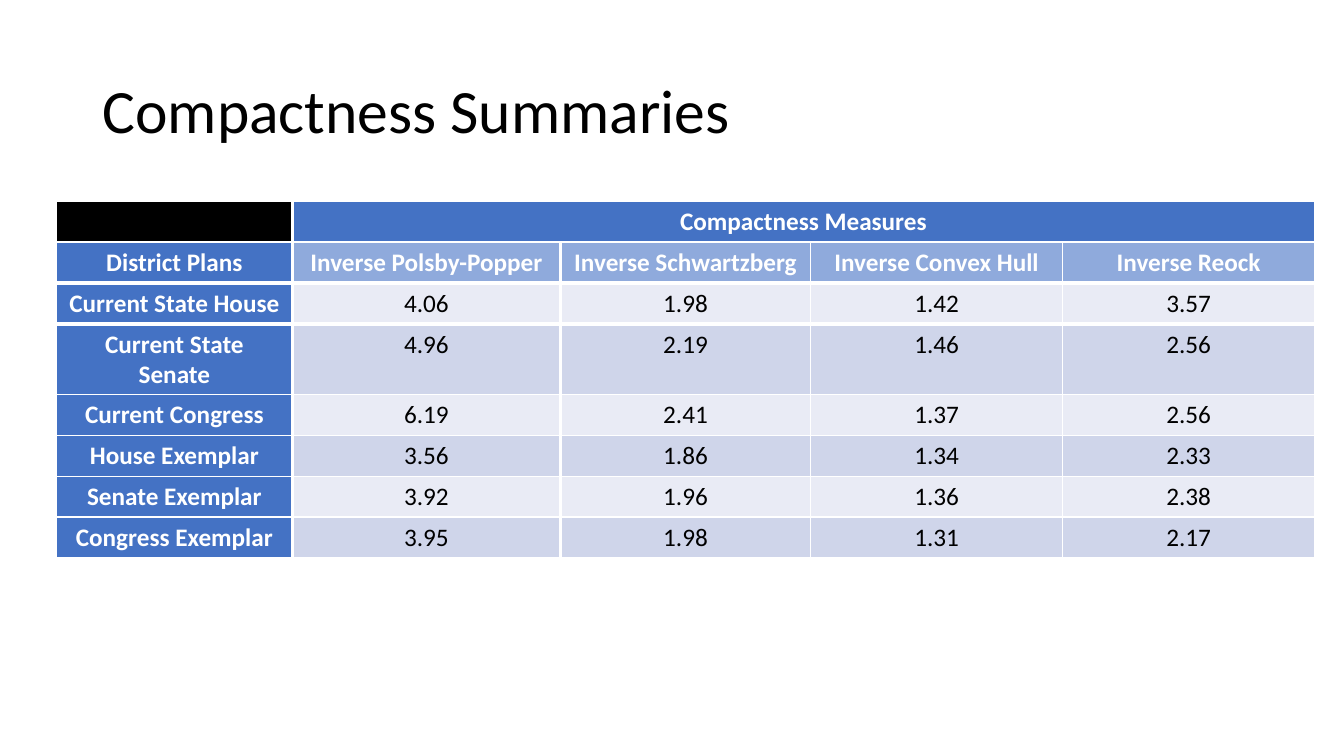
from lxml import etree
from pptx import Presentation
from pptx import util as u
from pptx.dml.color import RGBColor
from pptx.enum import text
from pptx.oxml.ns import qn

FONT = "Calibri"
WHITE, BLACK = "FFFFFF", "000000"
BLUE, LIGHT_BLUE = "4472C4", "8FAADC"
BANDS = ["E9EBF5", "CFD5EA"]
COLUMN_WIDTHS = [2.34, 2.66, 2.48, 2.5, 2.5]
ROW_EDGES = [1, 1.5, 3, 3, 1, 1, 1, 1, 1]
TOP_COLUMN_EDGES = [1, 3, 1, 1, 1, 1]
COLUMN_EDGES = [1, 3, 3, 1, 1, 1]
ROWS = [
    ["", "Compactness Measures", "", "", ""],
    ["District Plans", "Inverse Polsby-Popper", "Inverse Schwartzberg",
     "Inverse Convex Hull", "Inverse Reock"],
    ["Current State House ", "4.06", "1.98", "1.42", "3.57"],
    ["Current State Senate", "4.96", "2.19", "1.46", "2.56"],
    ["Current Congress", "6.19", "2.41", "1.37", "2.56"],
    ["House Exemplar", "3.56", "1.86", "1.34", "2.33"],
    ["Senate Exemplar", "3.92", "1.96", "1.36", "2.38"],
    ["Congress Exemplar", "3.95", "1.98", "1.31", "2.17"],
]


def color(value):
    return RGBColor.from_string(value)


def style_text(para, size, value, bold=False):
    for span in para.runs:
        span.font.name = FONT
        span.font.size = u.Pt(size)
        span.font.bold = bold
        span.font.color.rgb = color(value)


def add_title(page, left, top, width, height):
    box = page.shapes.add_textbox(*map(u.Inches, (left, top, width, height)))
    frame = box.text_frame
    frame.word_wrap = True
    frame.vertical_anchor = text.MSO_ANCHOR.MIDDLE
    frame.text = "Compactness Summaries"
    para = frame.paragraphs[0]
    para.line_spacing = 0.9
    style_text(para, 44, BLACK)


def set_borders(cell, row, column):
    vertical = COLUMN_EDGES if row else TOP_COLUMN_EDGES
    widths = {"a:lnL": vertical[column], "a:lnR": vertical[column + 1],
              "a:lnT": ROW_EDGES[row], "a:lnB": ROW_EDGES[row + 1]}
    properties = cell._tc.get_or_add_tcPr()
    for tag, width in widths.items():
        line = etree.SubElement(properties, qn(tag), w=str(u.Pt(width)))
        fill = etree.SubElement(line, qn("a:solidFill"))
        etree.SubElement(fill, qn("a:srgbClr"), val=WHITE)


def cell_fill(row, column):
    if row == 0 and column == 0:
        return BLACK
    if row == 0 or column == 0:
        return BLUE
    return LIGHT_BLUE if row == 1 else BANDS[row % 2]


def add_measures_table(page, left, top, width, height):
    frame = page.shapes.add_table(len(ROWS), len(COLUMN_WIDTHS),
                                  *map(u.Inches, (left, top, width, height)))
    table = frame.table
    for column, column_width in zip(table.columns, COLUMN_WIDTHS):
        column.width = u.Inches(column_width)
    for r, values in enumerate(ROWS):
        for c, value in enumerate(values):
            cell = table.cell(r, c)
            set_borders(cell, r, c)
            cell.fill.solid()
            cell.fill.fore_color.rgb = color(cell_fill(r, c))
            header = r < 2 or c == 0
            if value:
                cell.text_frame.text = value
                para = cell.text_frame.paragraphs[0]
                para.alignment = text.PP_ALIGN.CENTER
                style_text(para, 18, WHITE if header else BLACK, header)
    table.cell(0, 1).merge(table.cell(0, len(COLUMN_WIDTHS) - 1))


def main():
    deck = Presentation()
    deck.slide_width = u.Inches(13.33)
    deck.slide_height = u.Inches(7.5)
    page = deck.slides.add_slide(deck.slide_layouts[6])
    add_title(page, 0.92, 0.4, 11.5, 1.45)
    add_measures_table(page, 0.56, 2, sum(COLUMN_WIDTHS), 3.24)
    deck.save("out.pptx")


if __name__ == "__main__":
    main()
